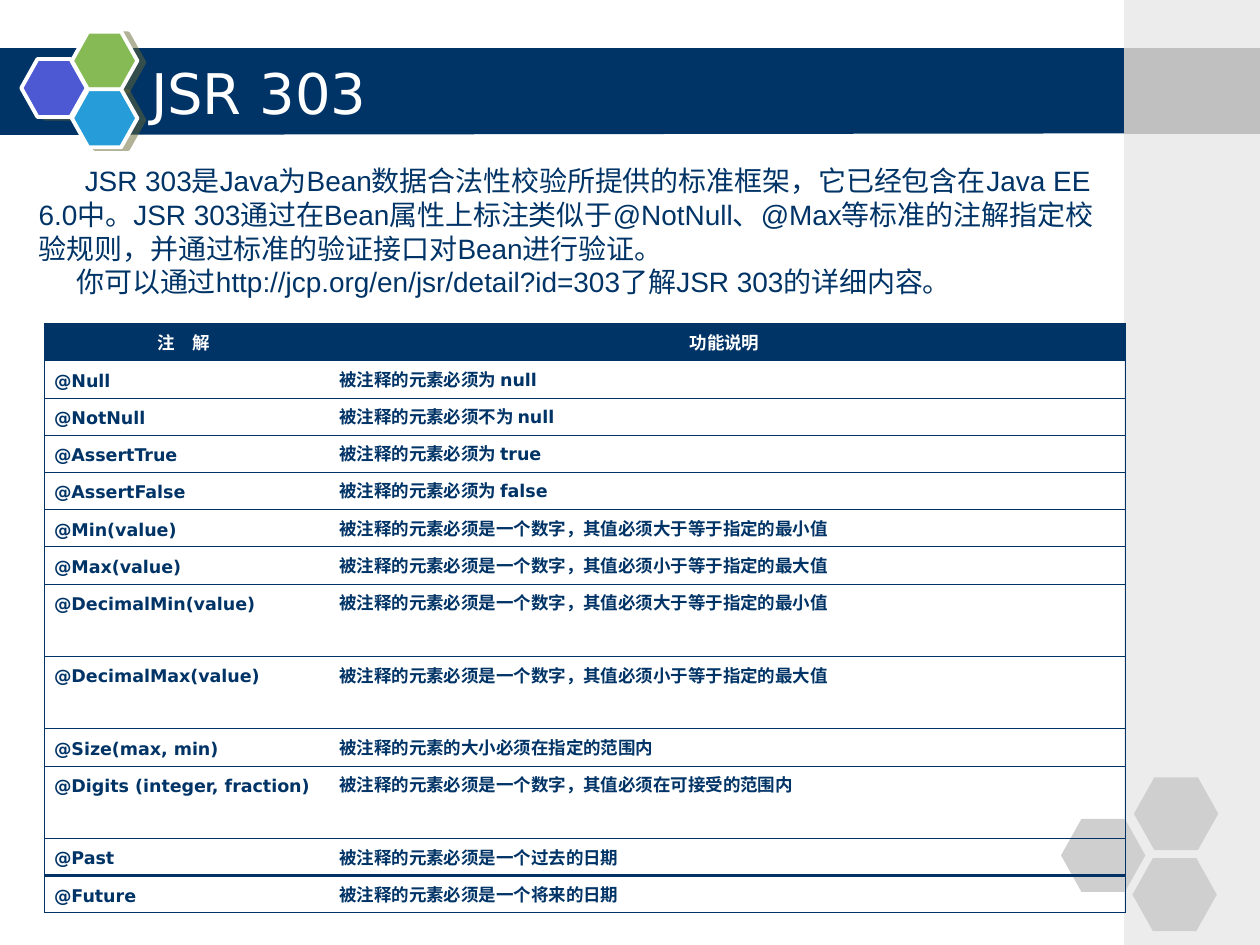
from dataclasses import dataclass
from typing import Optional

from lxml import etree
from pptx import Presentation
from pptx.dml.color import RGBColor
from pptx.enum.shapes import MSO_SHAPE
from pptx.enum.text import MSO_ANCHOR, MSO_AUTO_SIZE, PP_ALIGN
from pptx.oxml.ns import qn
from pptx.util import Cm, Pt

HEX, RECT = MSO_SHAPE.HEXAGON, MSO_SHAPE.RECTANGLE
MIDDLE, TOP = MSO_ANCHOR.MIDDLE, MSO_ANCHOR.TOP
LEFT, CENTER = PP_ALIGN.LEFT, PP_ALIGN.CENTER
NO_FIT = MSO_AUTO_SIZE.NONE


@dataclass(frozen=True)
class Theme:
    navy: str = "003366"
    rule: str = "003266"
    white: str = "FFFFFF"
    violet: str = "4C59D2"
    green: str = "85BA54"
    blue: str = "269DD8"
    pale: str = "ECECEC"
    silver: str = "C0C0C0"
    gray: str = "CFCFCF"
    shade: str = "666633"
    sans: str = "DejaVu Sans"
    arial: str = "Arial"
    head: float = 32
    body: float = 16
    cell: float = 10
    thin: float = 0.34
    thick: float = 1.98
    edge: float = 2.25


@dataclass(frozen=True)
class Block:
    kind: int
    left: float
    top: float
    width: float
    height: float
    fill: str
    edge: Optional[str] = None


@dataclass(frozen=True)
class Rule:
    note: str
    use: str
    tall: bool = False


THEME = Theme()
BLOCKS = [
    *(Block(HEX, x, y, 1.32, 1.17, fill, THEME.white) for x, y, fill in (
        (0.43, 1.19, THEME.violet),
        (1.45, 0.64, THEME.green),
        (1.45, 1.8, THEME.blue),
    )),
    Block(RECT, 22.66, 0, 2.74, 19.05, THEME.pale),
    Block(RECT, 22.66, 0.97, 2.74, 1.73, THEME.silver),
    *(Block(HEX, x, y, 1.7, 1.47, THEME.gray)
      for x, y in ((21.39, 16.51), (22.86, 15.67), (22.83, 17.3))),
]
BODY = [
    ("JSR 303是Java为Bean数据合法性校验所提供的标准框架，它已经包含在Java EE 6.0中。"
     "JSR 303通过在Bean属性上标注类似于@NotNull、@Max等标准的注解指定校验规则，"
     "并通过标准的验证接口对Bean进行验证。", 0.93),
    ("你可以通过http://jcp.org/en/jsr/detail?id=303了解JSR 303的详细内容。", 0.76),
]
LEAST = "被注释的元素必须是一个数字，其值必须大于等于指定的最小值"
MOST = "被注释的元素必须是一个数字，其值必须小于等于指定的最大值"
RULES = [
    Rule("注　解", "功能说明"),
    Rule("@Null", "被注释的元素必须为 null"),
    Rule("@NotNull", "被注释的元素必须不为 null"),
    Rule("@AssertTrue", "被注释的元素必须为 true"),
    Rule("@AssertFalse", "被注释的元素必须为 false"),
    Rule("@Min(value)", LEAST),
    Rule("@Max(value)", MOST),
    Rule("@DecimalMin(value)", LEAST, True),
    Rule("@DecimalMax(value)", MOST, True),
    Rule("@Size(max, min)", "被注释的元素的大小必须在指定的范围内"),
    Rule("@Digits (integer, fraction)", "被注释的元素必须是一个数字，其值必须在可接受的范围内", True),
    Rule("@Past", "被注释的元素必须是一个过去的日期"),
    Rule("@Future", "被注释的元素必须是一个将来的日期"),
]
WIDTHS = (5.64, 16.15)


def paint(shape, fill: str, edge: Optional[str] = None) -> None:
    shape.shadow.inherit = False
    shape.fill.solid()
    shape.fill.fore_color.rgb = RGBColor.from_string(fill)
    if edge:
        shape.line.color.rgb = RGBColor.from_string(edge)
        shape.line.width = Pt(THEME.edge)
    else:
        shape.line.fill.background()


def add_color(parent, color: str):
    return etree.SubElement(parent, qn("a:srgbClr"), val=color)


def cast(shape) -> None:
    glow = shape._element.spPr.find(qn("a:effectLst"))
    drop = etree.SubElement(glow, qn("a:outerShdw"), blurRad="0",
                            dist=str(Pt(4.1)), dir="840000", rotWithShape="0")
    etree.SubElement(add_color(drop, THEME.shade), qn("a:alpha"), val="50000")


def draw_band(slide) -> None:
    pen = slide.shapes.build_freeform(Cm(-0.08), Cm(0.97))
    pen.add_line_segments(
        [(Cm(22.71), Cm(0.97)), (Cm(22.68), Cm(2.69)), (Cm(-0.08), Cm(2.72))])
    paint(pen.convert_to_shape(), THEME.navy)


def draw_block(slide, block: Block) -> None:
    shape = slide.shapes.add_shape(block.kind, Cm(block.left), Cm(block.top),
                                   Cm(block.width), Cm(block.height))
    paint(shape, block.fill, block.edge)
    if block.kind == HEX:
        shape.adjustments[0] = 0.28
    if block.edge:
        cast(shape)


def style(para, size: float, face: str, color: str, bold: bool = False) -> None:
    for run in para.runs:
        run.font.size = Pt(size)
        run.font.name = face
        run.font.bold = bold
        run.font.color.rgb = RGBColor.from_string(color)


def draw_title(slide) -> None:
    title = slide.shapes.title
    slide.shapes._spTree.append(title._element)
    title.left, title.top = Cm(2.79), Cm(1.07)
    title.width, title.height = Cm(21.89), Cm(1.57)
    frame = title.text_frame
    frame.text = "JSR 303"
    frame.auto_size = NO_FIT
    frame.vertical_anchor = MIDDLE
    frame.paragraphs[0].alignment = LEFT
    style(frame.paragraphs[0], THEME.head, THEME.sans, THEME.white)


def draw_body(slide) -> None:
    frame = slide.shapes.add_textbox(Cm(0.53), Cm(3.18), Cm(21.77), Cm(2.97)).text_frame
    frame.word_wrap = True
    frame.text = "\n".join(text for text, _ in BODY)
    for para, (_, indent) in zip(frame.paragraphs, BODY):
        para._p.get_or_add_pPr().set("indent", str(Cm(indent)))
        style(para, THEME.body, THEME.arial, THEME.navy)


def add_edge(cell, side: str, width: float) -> None:
    line = etree.SubElement(cell._tc.get_or_add_tcPr(), qn(f"a:ln{side}"), w=str(Pt(width)))
    if width:
        add_color(etree.SubElement(line, qn("a:solidFill")), THEME.rule)
    else:
        etree.SubElement(line, qn("a:noFill"))


def draw_cell(cell, text: str, row: int, col: int) -> None:
    head, last = row == 0, len(RULES) - 1
    edges = {"L": THEME.thin if col == 0 else 0,
             "R": THEME.thin if col == 1 else 0,
             "T": THEME.thick if row == last else THEME.thin,
             "B": THEME.thick if row == last - 1 else THEME.thin}
    for side, width in edges.items():
        add_edge(cell, side, width)
    if head:
        cell.fill.solid()
        cell.fill.fore_color.rgb = RGBColor.from_string(THEME.navy)
    else:
        cell.fill.background()
        cell.margin_left = Cm((0.2, 0.31)[col])
        cell.margin_right = Cm(0.2)
    cell.vertical_anchor = MIDDLE if head else TOP
    cell.text_frame.text = text
    para = cell.text_frame.paragraphs[0]
    para.alignment = CENTER if head else LEFT
    para.line_spacing = Pt(14)
    style(para, THEME.cell, THEME.sans, THEME.white if head else THEME.navy, True)


def draw_table(slide) -> None:
    heights = [1.46 if rule.tall else 0.75 for rule in RULES]
    table = slide.shapes.add_table(len(RULES), len(WIDTHS), Cm(0.89), Cm(6.52),
                                   Cm(sum(WIDTHS)), Cm(sum(heights))).table
    table.horz_banding = False
    for col, width in zip(table.columns, WIDTHS):
        col.width = Cm(width)
    for i, (rule, height) in enumerate(zip(RULES, heights)):
        table.rows[i].height = Cm(height)
        for j, text in enumerate((rule.note, rule.use)):
            draw_cell(table.cell(i, j), text, i, j)


def main() -> None:
    deck = Presentation()
    deck.slide_width, deck.slide_height = Cm(25.4), Cm(19.05)
    slide = deck.slides.add_slide(deck.slide_layouts[5])
    draw_band(slide)
    for block in BLOCKS:
        draw_block(slide, block)
    draw_title(slide)
    draw_body(slide)
    draw_table(slide)
    deck.save("out.pptx")


if __name__ == "__main__":
    main()
